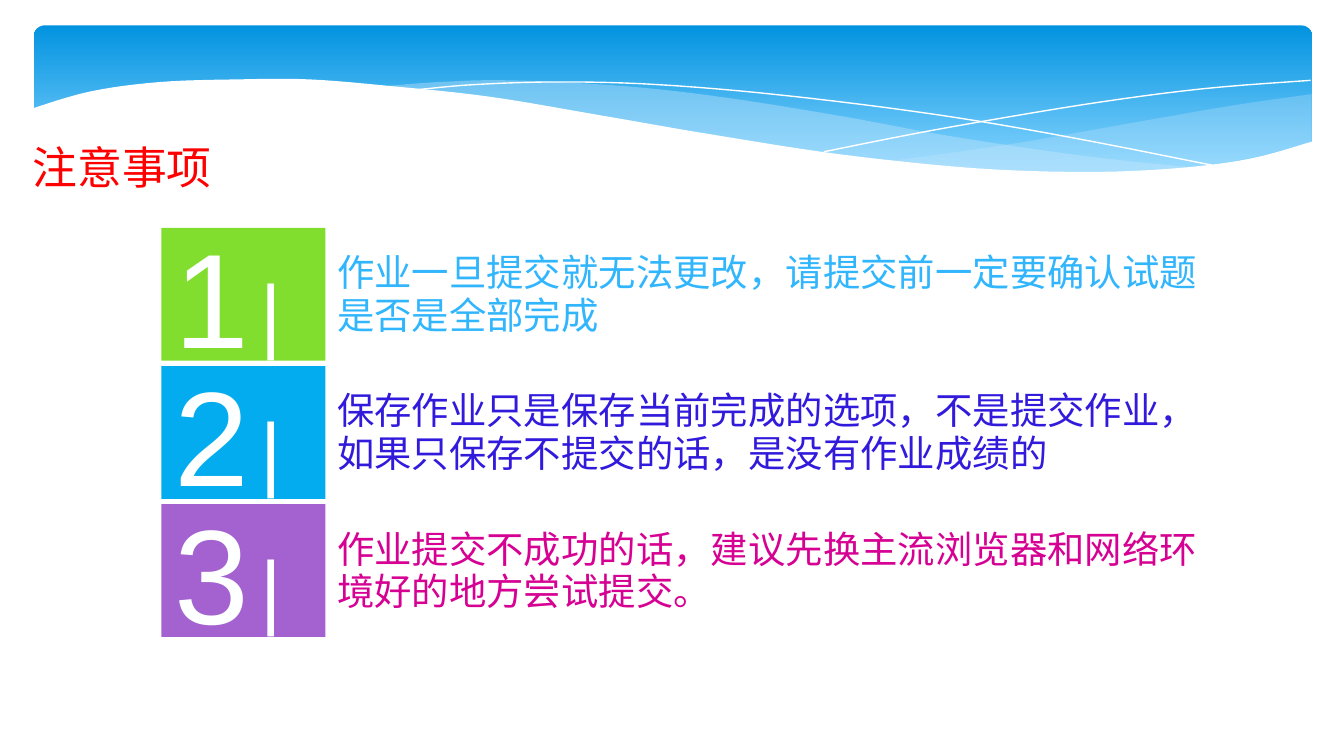
from dataclasses import dataclass
from typing import Optional

import pptx
import pptx.dml.color
import pptx.enum.shapes
import pptx.enum.text
import pptx.oxml
import pptx.oxml.ns
import pptx.util

Cm, Pt = pptx.util.Cm, pptx.util.Pt
Point = tuple[float, float]

CJK_FONT = "Noto Sans CJK JP"
WHITE = "FFFFFF"
DIGIT_COLOR = "FEFFFF"
ROW_TOP, ROW_PITCH, ROW_HEIGHT = 4.31, 2.61, 2.51
TILE_LEFT, TILE_WIDTH = 3.05, 3.1
NOTE_LEFT, NOTE_WIDTH = 6.12, 16.92


@dataclass
class Wave:
    """Smooth edges in centimetres, joined in order; open waves are thin lines."""
    edges: list[list[Point]]
    fill: Optional[str] = None
    opacity: int = 100


@dataclass
class Rule:
    number: str
    tile_color: str
    text: str
    text_color: str


WAVES = [
    Wave([[(24.79, 1.78), (23.39, 1.98), (21.87, 2.24), (19.13, 2.72), (16.79, 3.05)],
          [(16.79, 3.05), (18.59, 3.2), (20.4, 3.28), (22.15, 3.2), (23.57, 3),
           (24.79, 2.69)]], "C6E7FC", 29),
    Wave([[(22.68, 3.18), (20.5, 2.95), (17.93, 2.57), (15.98, 2.21), (13.74, 1.85),
           (11.81, 1.63), (9.65, 1.52), (8.33, 1.55), (7.26, 1.63)],
          [(7.26, 1.63), (9.19, 1.85), (11.4, 2.21), (14.38, 2.72), (16.89, 3.07),
           (18.69, 3.23), (20.5, 3.3), (21.77, 3.25), (22.68, 3.18)]], "C6E7FC", 40),
    Wave([[(7.85, 1.7), (8.97, 1.6), (10.57, 1.55), (12.42, 1.6), (14.78, 1.8),
           (17.65, 2.16), (20.19, 2.59), (23.04, 3.15)]]),
    Wave([[(15.57, 2.87), (17.65, 2.46), (20.47, 1.98), (22.73, 1.68), (24.77, 1.52)]]),
    Wave([[(24.82, 2.67), (23.62, 3), (22.23, 3.18), (20.55, 3.25), (18.44, 3.18),
           (15.9, 2.92), (13.44, 2.54), (11.35, 2.18), (9.27, 1.83), (7.42, 1.63),
           (5.84, 1.5), (4.5, 1.5), (3.02, 1.55), (1.7, 1.73), (0.58, 2.06)],
          [(0.58, 4.27), (24.82, 4.27)]], WHITE),
]

RULES = [
    Rule("1", "82DE2E", "作业一旦提交就无法更改，请提交前一定要确认试题是否是全部完成", "31B6FD"),
    Rule("2", "02ACEE",
         "保存作业只是保存当前完成的选项，不是提交作业，如果只保存不提交的话，是没有作业成绩的", "311ADC"),
    Rule("3", "A362D0", "作业提交不成功的话，建议先换主流浏览器和网络环境好的地方尝试提交。", "D60093"),
]


def rgb(color: str) -> pptx.dml.color.RGBColor:
    return pptx.dml.color.RGBColor.from_string(color)


def smooth(knots: list[Point], steps: int = 6) -> list[Point]:
    """Catmull-Rom curve through the knots."""
    padded = [knots[0], *knots, knots[-1]]
    curve = [knots[0]]
    for a, b, c, d in zip(padded, padded[1:], padded[2:], padded[3:]):
        for step in range(1, steps + 1):
            t = step / steps
            curve.append(tuple(
                q + t / 2 * (r - p + t * (2 * p - 5 * q + 4 * r - s
                                          + t * (3 * (q - r) + s - p)))
                for p, q, r, s in zip(a, b, c, d)))
    return curve


def fill_plain(shape, color: str) -> None:
    shape.shadow.inherit = False
    shape.fill.solid()
    shape.fill.fore_color.rgb = rgb(color)
    shape.line.fill.background()


def draw_wave(slide, wave: Wave) -> None:
    outline = [(Cm(x), Cm(y)) for edge in wave.edges for x, y in smooth(edge)]
    builder = slide.shapes.build_freeform(*outline[0])
    builder.add_line_segments(outline[1:], close=wave.fill is not None)
    shape = builder.convert_to_shape()
    if wave.fill is None:
        shape.shadow.inherit = False
        shape.fill.background()
        shape.line.color.rgb = rgb(WHITE)
        shape.line.width = Pt(0)
        return
    fill_plain(shape, wave.fill)
    if wave.opacity < 100:
        color = shape.fill._xPr.find(".//" + pptx.oxml.ns.qn("a:srgbClr"))
        alpha = pptx.oxml.parse_xml(f'<a:alpha {pptx.oxml.ns.nsdecls("a")} '
                                    f'val="{wave.opacity * 1000}"/>')
        color.append(alpha)


def draw_band(slide) -> None:
    band = slide.shapes.add_shape(pptx.enum.shapes.MSO_SHAPE.ROUNDED_RECTANGLE,
                                  Cm(0.64), Cm(0.48), Cm(24.16), Cm(2.97))
    band.adjustments[0] = 0.07
    fill_plain(band, WHITE)
    band.fill.gradient()
    band.fill.gradient_angle = 270
    for stop, color, position in zip(band.fill.gradient_stops, ("0293E0", "83D3FE"), (0, 0.9)):
        stop.color.rgb = rgb(color)
        stop.position = position


def write(shape, text: str, size: int, color: str, font: str, anchor: str = "MIDDLE"):
    """Put one left-aligned paragraph in the shape and return it."""
    frame = shape.text_frame
    frame.word_wrap = True
    frame.auto_size = pptx.enum.text.MSO_AUTO_SIZE.NONE
    frame.vertical_anchor = pptx.enum.text.MSO_ANCHOR[anchor]
    paragraph = frame.paragraphs[0]
    paragraph.alignment = pptx.enum.text.PP_ALIGN.LEFT
    run = paragraph.add_run()
    run.text = text
    for name, value in {"size": Pt(size), "name": font, "bold": False}.items():
        setattr(run.font, name, value)
    run.font.color.rgb = rgb(color)
    east_asian = pptx.oxml.parse_xml(f'<a:ea {pptx.oxml.ns.nsdecls("a")} typeface="{CJK_FONT}"/>')
    run.font._element.append(east_asian)
    return paragraph


def draw_rule(slide, rule: Rule, top: float) -> None:
    tile = slide.shapes.add_shape(pptx.enum.shapes.MSO_SHAPE.RECTANGLE, Cm(TILE_LEFT),
                                  Cm(top), Cm(TILE_WIDTH), Cm(ROW_HEIGHT))
    fill_plain(tile, rule.tile_color)
    write(tile, rule.number, 72, DIGIT_COLOR, "Arial")

    note = slide.shapes.add_textbox(Cm(NOTE_LEFT), Cm(top), Cm(NOTE_WIDTH), Cm(ROW_HEIGHT))
    write(note, rule.text, 20, rule.text_color, CJK_FONT).line_spacing = Pt(23)

    divider = slide.shapes.add_textbox(Cm(3.4), Cm(top + 0.38), Cm(2.2), Cm(1.6))
    divider.text_frame.margin_top = Cm(0.25)
    bar = write(divider, "|", 44, DIGIT_COLOR, "Arial", "TOP")
    bar.level = 1
    for name, value in {"marL": Cm(1.27), "indent": 0}.items():
        bar._p.get_or_add_pPr().set(name, str(int(value)))


def draw_title(slide) -> None:
    title = slide.shapes.title
    place = {"left": Cm(0.36), "top": Cm(2.44), "width": Cm(25.04), "height": Cm(1.4)}
    for name, value in place.items():
        setattr(title, name, value)
    write(title, "注意事项", 24, "FF0000", "Calibri")
    slide.shapes._spTree.append(title._element)  # in front of the white wave


def main() -> None:
    deck = pptx.Presentation()
    deck.slide_width, deck.slide_height = Cm(25.4), Cm(14.29)
    slide = deck.slides.add_slide(deck.slide_layouts.get_by_name("Title Only"))
    draw_band(slide)
    for wave in WAVES:
        draw_wave(slide, wave)
    for row, rule in enumerate(RULES):
        draw_rule(slide, rule, ROW_TOP + row * ROW_PITCH)
    draw_title(slide)
    deck.save("out.pptx")


if __name__ == "__main__":
    main()
